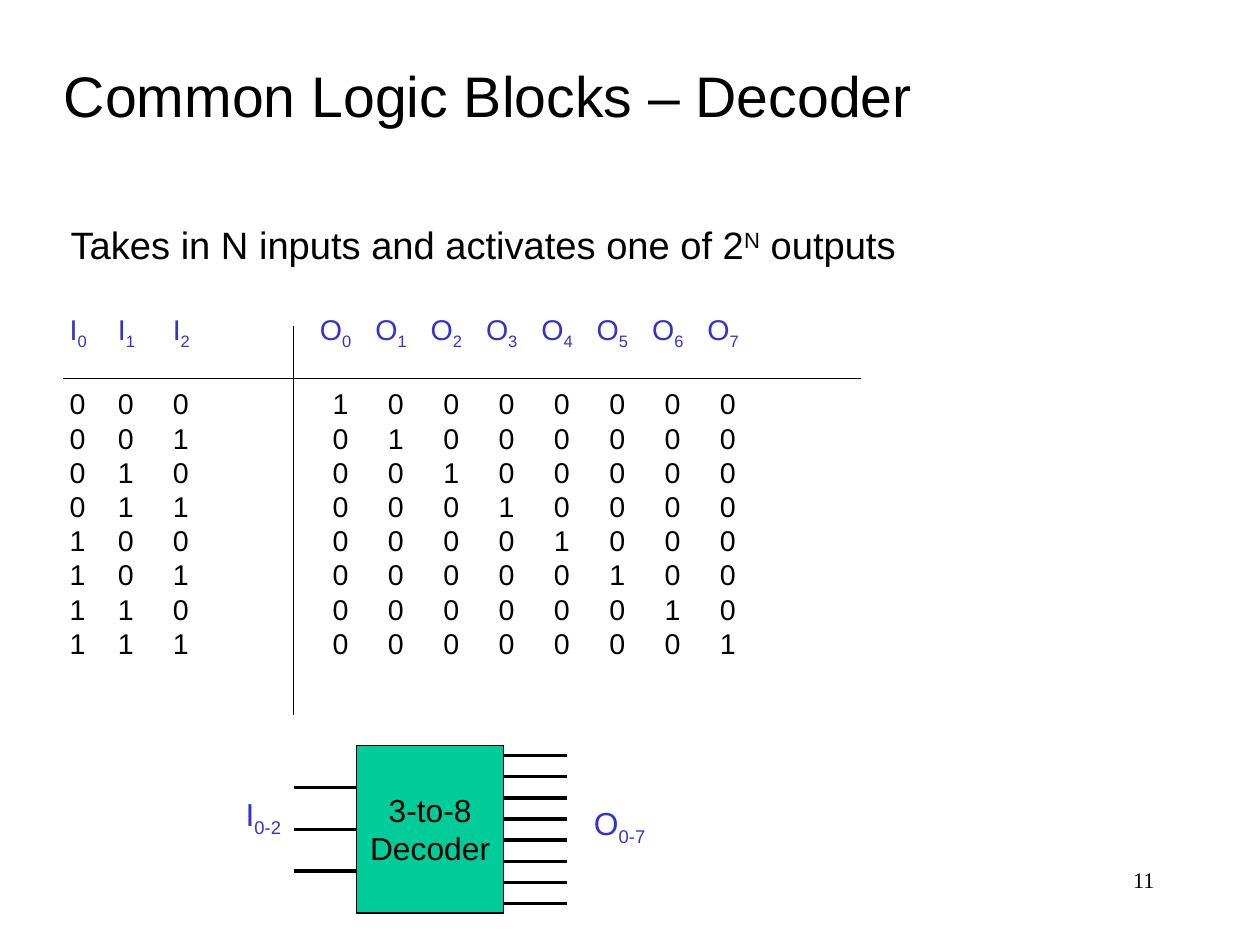
"""Build the slide on decoders: a 3-to-8 truth table and its block symbol."""
from dataclasses import dataclass

from lxml.etree import SubElement
from pptx import Presentation
from pptx.dml.color import RGBColor
from pptx.enum.shapes import MSO_CONNECTOR, MSO_SHAPE
from pptx.enum.text import MSO_ANCHOR, MSO_AUTO_SIZE, PP_ALIGN
from pptx.oxml.ns import qn
from pptx.util import Cm, Pt


@dataclass(frozen=True)
class Theme:
    ink: RGBColor = RGBColor(0x00, 0x00, 0x00)
    signal: RGBColor = RGBColor(0x33, 0x33, 0xCC)
    block: RGBColor = RGBColor(0x00, 0xCC, 0x99)
    sans: str = "Arial"
    serif: str = "Times New Roman"
    title: Pt = Pt(36)
    body: Pt = Pt(24)
    label: Pt = Pt(20)
    table: Pt = Pt(18)
    number: Pt = Pt(14)
    thin: Pt = Pt(0.75)
    thick: Pt = Pt(2.25)


theme = Theme()
INPUTS, OUTPUTS = 3, 8


def write(paragraph, parts, size, color=theme.ink, face=theme.sans, align=PP_ALIGN.LEFT):
    paragraph.alignment = align
    paragraph.space_before = Pt(0)
    for text, baseline in parts:
        run = paragraph.add_run()
        run.text = text
        for key, value in {"name": face, "size": size, "bold": False}.items():
            setattr(run.font, key, value)
        run.font.color.rgb = color
        if baseline:
            run.font._element.set("baseline", str(baseline * 1000))


def place(shape, left, top, width, height, anchor=MSO_ANCHOR.TOP):
    box = {"left": left, "top": top, "width": width, "height": height}
    for key, value in box.items():
        setattr(shape, key, Cm(value))
    frame = shape.text_frame
    layout = {"word_wrap": False, "auto_size": MSO_AUTO_SIZE.NONE, "vertical_anchor": anchor,
              "margin_left": Cm(0.25), "margin_right": Cm(0.25),
              "margin_top": Cm(0.13), "margin_bottom": Cm(0.13)}
    for key, value in layout.items():
        setattr(frame, key, value)
    return frame.paragraphs[0]


deck = Presentation()
deck.slide_width, deck.slide_height = Cm(28), Cm(21)
slide = deck.slides.add_slide(deck.slide_layouts[1])
shapes = slide.shapes

heading = place(shapes.title, 1.17, 1.22, 19.35, 1.78)
write(heading, [("Common Logic Blocks – Decoder", 0)], theme.title)

summary = place(slide.placeholders[1], 1.32, 4.8, 21.46, 1.3)
properties = summary._p.get_or_add_pPr()
properties.set("marL", "0")
properties.set("indent", "0")
SubElement(properties, qn("a:buNone"))
write(summary, [("Takes in N inputs and activates one of 2", 0), ("N", 30), (" outputs", 0)],
      theme.body)

columns = [("I", i) for i in range(INPUTS)] + [("O", i) for i in range(OUTPUTS)]
widths = [1.07, 1.22, 3.27] + [1.23] * OUTPUTS
heights = [1.63] + [0.76] * OUTPUTS
truth = shapes.add_table(len(heights), len(columns), Cm(1.55), Cm(6.99),
                         Cm(sum(widths)), Cm(sum(heights))).table
truth.first_row = truth.horz_banding = False
for column, width in zip(truth.columns, widths):
    column.width = Cm(width)
for row, height in zip(truth.rows, heights):
    row.height = Cm(height)

for row in range(len(heights)):
    for column, (letter, index) in enumerate(columns):
        cell = truth.cell(row, column)
        cell.fill.background()
        indent = 0.28 if row and letter == "O" else 0
        layout = {"margin_left": Cm(indent), "margin_right": 0, "margin_top": 0,
                  "margin_bottom": 0,
                  "vertical_anchor": MSO_ANCHOR.MIDDLE if row else MSO_ANCHOR.TOP}
        for key, value in layout.items():
            setattr(cell, key, value)
        value = row - 1
        if row == 0:
            parts, color = [(letter, 0), (str(index), -25)], theme.signal
        else:
            bit = value >> (INPUTS - 1 - index) & 1 if letter == "I" else int(value == index)
            parts, color = [(str(bit), 0)], theme.ink
        write(cell.text_frame.paragraphs[0], parts, theme.table, color)

decoder = shapes.add_shape(MSO_SHAPE.RECTANGLE, 0, 0, 0, 0)
decoder.shadow.inherit = False
decoder.fill.solid()
decoder.fill.fore_color.rgb = theme.block
decoder.line.color.rgb = theme.ink
decoder.line.width = theme.thin
caption = place(decoder, 7.92, 16.56, 3.28, 3.73, MSO_ANCHOR.MIDDLE)
write(caption, [("3-to-8", 0)], theme.label, align=PP_ALIGN.CENTER)
write(decoder.text_frame.add_paragraph(), [("Decoder", 0)], theme.label,
      align=PP_ALIGN.CENTER)

rules = [(1.4, 8.41, 19.13, 8.41, theme.thin), (6.53, 7.24, 6.53, 15.88, theme.thin)]
for left, right, top, pitch, count in [(6.53, 7.92, 17.5, 0.93, INPUTS),
                                       (11.2, 12.6, 16.79, 0.47, OUTPUTS)]:
    for pin in range(count):
        y = top + pin * pitch
        rules.append((left, y, right, y, theme.thick))
for *ends, weight in rules:
    wire = shapes.add_connector(MSO_CONNECTOR.STRAIGHT, *map(Cm, ends))
    wire.line.color.rgb = theme.ink
    wire.line.width = weight
    SubElement(wire._element.spPr, qn("a:effectLst"))

for letter, span, left, top, width in [("I", "0-2", 5.21, 17.53, 1.3),
                                       ("O", "0-7", 12.95, 17.73, 1.65)]:
    bus = place(shapes.add_textbox(0, 0, 0, 0), left, top, width, 1.22)
    write(bus, [(letter, 0), (span, -25)], theme.label, theme.signal)

page = place(shapes.add_textbox(0, 0, 0, 0), 20.07, 19.13, 5.84, 1.4)
write(page, [("11", 0)], theme.number, face=theme.serif, align=PP_ALIGN.RIGHT)
shapes[-1].text_frame.word_wrap = True

deck.save("out.pptx")
